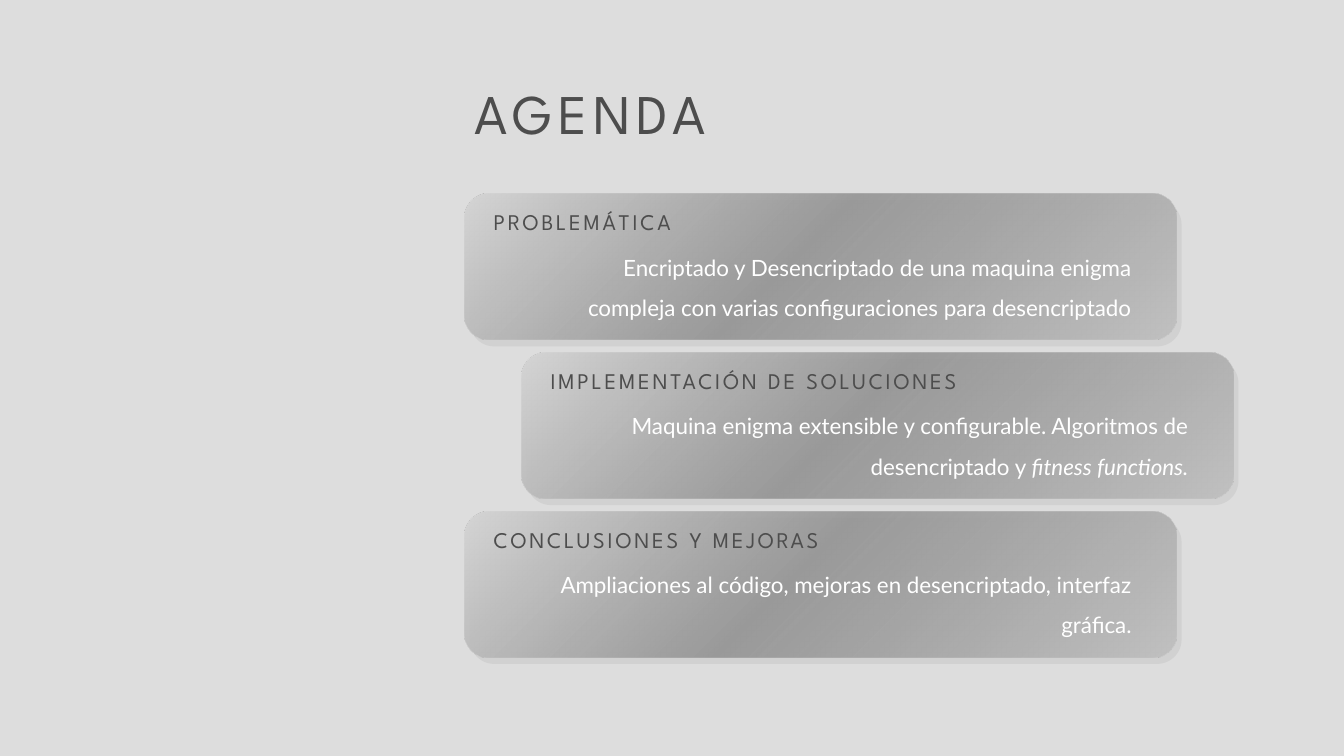
"""Build the agenda slide with three staggered topic cards."""

from dataclasses import dataclass

from pptx import Presentation
from pptx.dml.color import RGBColor
from pptx.enum.shapes import MSO_SHAPE
from pptx.enum.text import MSO_ANCHOR, PP_ALIGN
from pptx.oxml import parse_xml
from pptx.oxml.ns import nsdecls
from pptx.shapes.autoshape import Shape
from pptx.slide import Slide
from pptx.text.text import Font
from pptx.util import Pt

ROUNDED = MSO_SHAPE.ROUNDED_RECTANGLE
TOP, MIDDLE = MSO_ANCHOR.TOP, MSO_ANCHOR.MIDDLE
LEFT, RIGHT = PP_ALIGN.LEFT, PP_ALIGN.RIGHT

BACKGROUND = RGBColor(0xDD, 0xDD, 0xDD)
CARD_SHADOW = RGBColor(0xD1, 0xD1, 0xD1)
DARK = RGBColor(0x4D, 0x4D, 0x4D)
WHITE = RGBColor(0xFF, 0xFF, 0xFF)
GRADIENT_START = RGBColor(0xC1, 0xC1, 0xC1)
GRADIENT_MIDDLE = RGBColor(0x90, 0x90, 0x90)
GRADIENT_END = RGBColor(0xD5, 0xD5, 0xD5)

HEADING_FONT = "League Spartan"
BODY_FONT = "Lato"

CARD_LEFT, CARD_TOP = 332, 138.4
CARD_WIDTH, CARD_HEIGHT = 508.4, 104.4
CARD_STEP, CARD_INDENT = 113.4, 40.6
SHADOW_OFFSET = 3.6, 4.6


@dataclass(frozen=True)
class TextStyle:
    """Formatting shared by one kind of text."""

    font_name: str
    size: float
    color: RGBColor
    line_spacing: float
    tracking: float = 0
    alignment: PP_ALIGN = LEFT
    anchor: MSO_ANCHOR = TOP


@dataclass(frozen=True)
class Topic:
    """One agenda card."""

    heading: str
    description: str
    emphasis: str = ""
    indent: float = 0


TITLE = TextStyle(HEADING_FONT, 40, DARK, 0.9, tracking=4, anchor=MIDDLE)
HEADING = TextStyle(HEADING_FONT, 16, DARK, 0.9, tracking=2)
DESCRIPTION = TextStyle(BODY_FONT, 16, WHITE, 1.5, alignment=RIGHT, anchor=MIDDLE)

TOPICS = [
    Topic(
        "PROBLEMÁTICA",
        "Encriptado y Desencriptado de una maquina enigma compleja "
        "con varias configuraciones para desencriptado",
    ),
    Topic(
        "IMPLEMENTACIÓN DE SOLUCIONES",
        "Maquina enigma extensible y configurable. Algoritmos de desencriptado y ",
        emphasis="fitness functions.",
        indent=CARD_INDENT,
    ),
    Topic(
        "CONCLUSIONES Y MEJORAS",
        "Ampliaciones al código, mejoras en desencriptado, interfaz gráfica.",
    ),
]


def style_font(font: Font, style: TextStyle) -> None:
    """Apply a text style to one run's font."""
    font.name = style.font_name
    font.size = Pt(style.size)
    font.color.rgb = style.color


def add_text(
    slide: Slide,
    left: float,
    top: float,
    width: float,
    height: float,
    text: str,
    style: TextStyle,
    emphasis: str = "",
) -> None:
    """Add a wrapped text box, optionally ending in italics."""
    box = slide.shapes.add_textbox(Pt(left), Pt(top), Pt(width), Pt(height))
    frame = box.text_frame
    frame.word_wrap = True
    frame.vertical_anchor = style.anchor
    frame.text = text
    paragraph = frame.paragraphs[0]
    paragraph.alignment = style.alignment
    paragraph.line_spacing = style.line_spacing
    if emphasis:
        run = paragraph.add_run()
        run.text = emphasis
        run.font.italic = True
    for run in paragraph.runs:
        style_font(run.font, style)
        if style.tracking:
            run.font._element.set("spc", str(int(style.tracking * 100)))


def add_card(slide: Slide, left: float, top: float) -> Shape:
    """Add a rounded card with no outline or fill."""
    shape = slide.shapes.add_shape(
        ROUNDED, Pt(left), Pt(top), Pt(CARD_WIDTH), Pt(CARD_HEIGHT)
    )
    shape.shadow.inherit = False
    shape.line.fill.background()
    return shape


def fill_radial(shape: Shape) -> None:
    """Fill a card with a gradient radiating from its bottom right corner."""
    gradient = parse_xml(
        f'<a:gradFill {nsdecls("a")} rotWithShape="1"><a:gsLst>'
        f'<a:gs pos="0"><a:srgbClr val="{GRADIENT_START}"/></a:gs>'
        f'<a:gs pos="54000"><a:srgbClr val="{GRADIENT_MIDDLE}">'
        '<a:alpha val="84000"/></a:srgbClr></a:gs>'
        f'<a:gs pos="100000"><a:srgbClr val="{GRADIENT_END}"/></a:gs>'
        '</a:gsLst><a:path path="circle">'
        '<a:fillToRect l="100000" t="100000"/></a:path></a:gradFill>'
    )
    shape._element.spPr.prstGeom.addnext(gradient)


def add_topic(slide: Slide, topic: Topic, top: float) -> None:
    """Add one card with its shadow, heading and description."""
    left = CARD_LEFT + topic.indent
    offset_x, offset_y = SHADOW_OFFSET
    shadow = add_card(slide, left + offset_x, top + offset_y)
    shadow.fill.solid()
    shadow.fill.fore_color.rgb = CARD_SHADOW
    fill_radial(add_card(slide, left, top))
    add_text(slide, left + 13.6, top + 9.2, 382, 28.8, topic.heading, HEADING)
    add_text(
        slide, left + 40.6, top + 38, 442.8, 48.2,
        topic.description, DESCRIPTION, topic.emphasis,
    )


def main() -> None:
    """Create and save the presentation."""
    presentation = Presentation()
    presentation.slide_width = Pt(960)
    presentation.slide_height = Pt(540)
    slide = presentation.slides.add_slide(presentation.slide_layouts[6])
    slide.background.fill.solid()
    slide.background.fill.fore_color.rgb = BACKGROUND
    add_text(slide, CARD_LEFT, 56.8, 387.4, 52.6, "AGENDA", TITLE)
    for index, topic in enumerate(TOPICS):
        add_topic(slide, topic, CARD_TOP + index * CARD_STEP)
    presentation.save("out.pptx")


if __name__ == "__main__":
    main()
